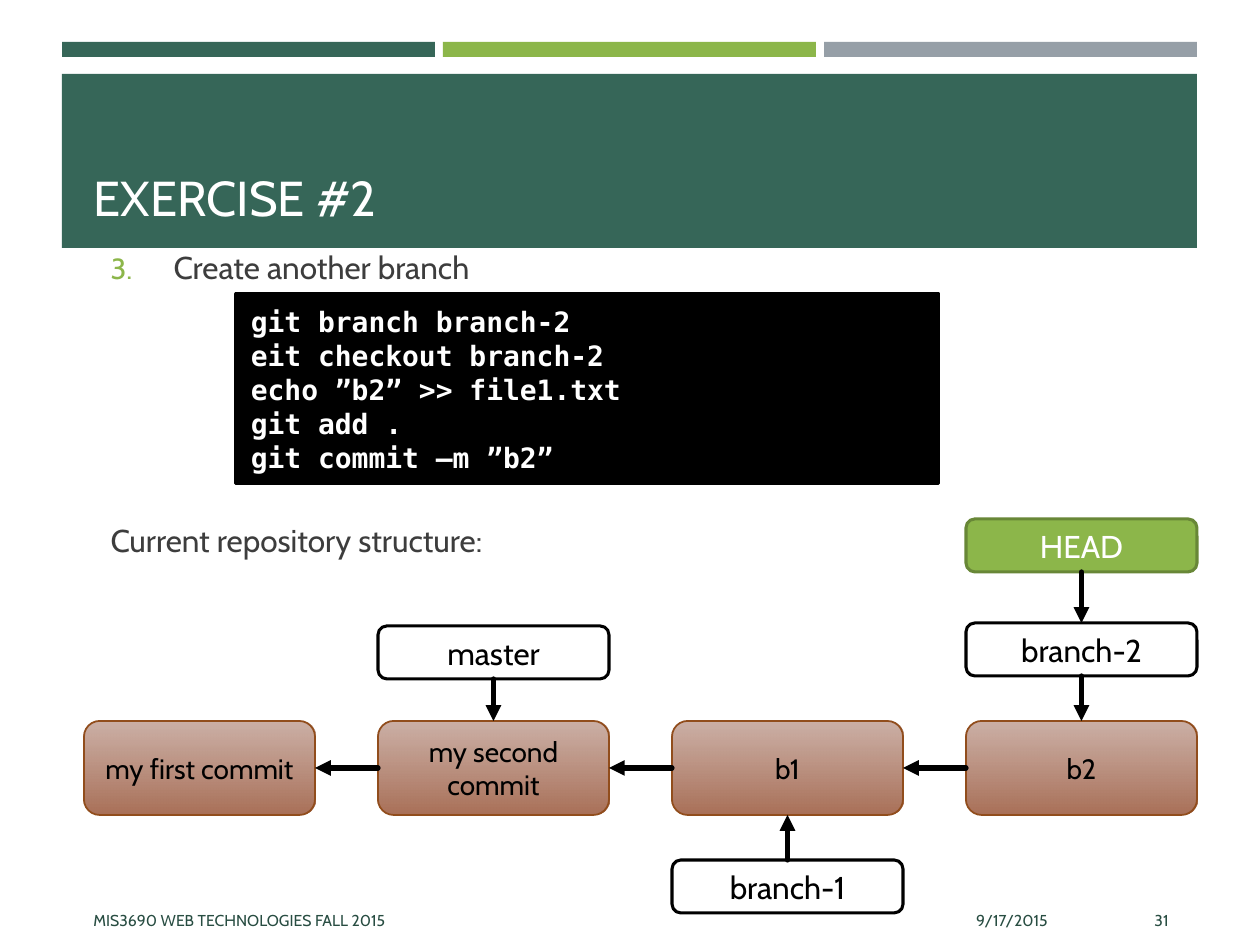
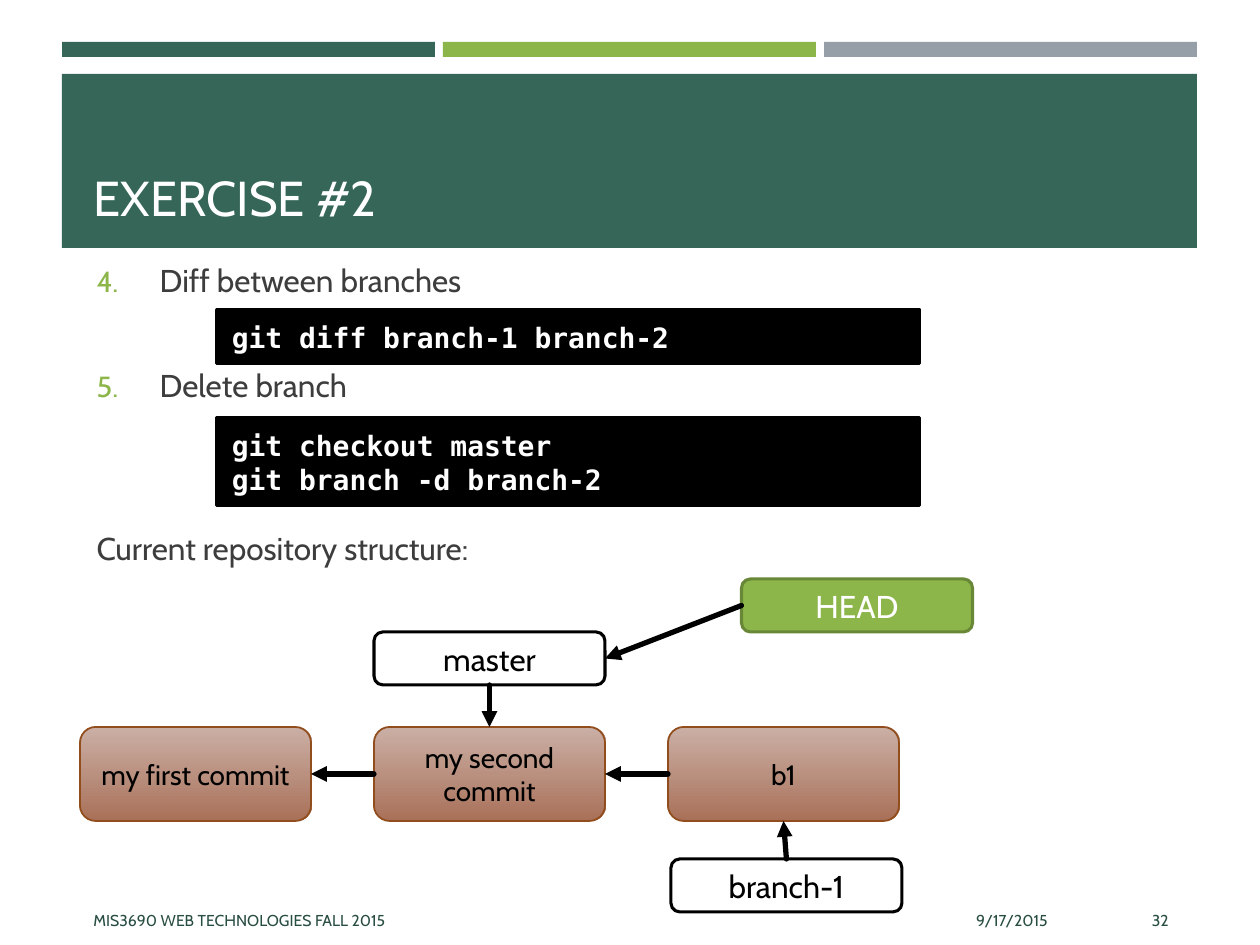
"""Build two git exercise slides with command boxes and commit diagrams."""
import lxml.etree
import pptx
import pptx.dml.color
import pptx.enum.dml
import pptx.enum.shapes
import pptx.enum.text
import pptx.oxml.ns
import pptx.util

SHAPE = pptx.enum.shapes.MSO_SHAPE
ALIGN = pptx.enum.text.PP_ALIGN
ANCHOR = pptx.enum.text.MSO_ANCHOR
qn = pptx.oxml.ns.qn

EMU_PER_PX = 914400 / 126
TEXT_FONT = "Cabin"
CODE_FONT = "DejaVu Sans Mono"
COLORS = {
    "green": "366658", "lime": "8CB64A", "gray": "969FA7", "footer": "284D42",
    "body": "3D3D3D", "white": "FFFFFF", "black": "000000", "lime_edge": "688737",
    "commit_top": "C6A79C", "commit_bottom": "A97058", "commit_edge": "914D1C",
}

BAND_COLORS = ["green", "lime", "gray"]
BAND_BOX = (62, 42, 373, 15)
BAND_STEP = 381
HEADER_BOX = (62, 74, 1135, 174)
TITLE_BOX = (81, 84, 1101, 149)
FOOTERS = [
    ("date", (766, 895, 294, 50), ALIGN.RIGHT),
    ("course", (81, 895, 672, 50), ALIGN.LEFT),
    ("number", (1075, 895, 106, 50), ALIGN.RIGHT),
]
CODE_WIDTH = 703
COLUMN_STEP = 294
NODE_WIDTH = 231
COMMIT_HEIGHT = 94
LABEL_HEIGHT = 53
LABEL_STYLES = {
    "branch": ("white", "black", "black"),
    "head": ("lime", "lime_edge", "white"),
}
TOP, LEFT, BOTTOM, RIGHT = range(4)

SLIDES = [
    {
        "title": "EXERCISE #2",
        "footer": {"date": "9/17/2015", "course": "MIS3690 WEB TECHNOLOGIES FALL 2015", "number": "31"},
        "body_box": (95, 242, 1081, 630),
        "first_number": 3,
        "body": [("Create another branch", True, 0), ("Current repository structure:", False, 134)],
        "code": [
            ((236, 294, CODE_WIDTH, 190), [
                "git branch branch-2",
                "eit checkout branch-2",
                "echo ”b2” >> file1.txt",
                "git add .",
                "git commit –m ”b2”",
            ]),
        ],
        "diagram_left": 84,
        "commit_top": 721,
        "commits": ["my first commit", "my second commit", "b1", "b2"],
        "labels": [
            ("master", "branch", 1, 626),
            ("branch-1", "branch", 2, 860),
            ("HEAD", "head", 3, 519),
            ("branch-2", "branch", 3, 623),
        ],
        "arrows": [
            ("master", BOTTOM, "my second commit", TOP),
            ("branch-1", TOP, "b1", BOTTOM),
            ("HEAD", BOTTOM, "branch-2", TOP),
            ("branch-2", BOTTOM, "b2", TOP),
        ],
    },
    {
        "title": "EXERCISE #2",
        "footer": {"date": "9/17/2015", "course": "MIS3690 WEB TECHNOLOGIES FALL 2015", "number": "32"},
        "body_box": (81, 255, 1081, 640),
        "first_number": 4,
        "body": [
            ("Diff between branches", True, 0),
            ("Delete branch", True, 38),
            ("Current repository structure:", False, 72),
        ],
        "code": [
            ((217, 310, CODE_WIDTH, 54), ["git diff branch-1 branch-2"]),
            ((217, 418, CODE_WIDTH, 88), ["git checkout master", "git branch -d branch-2"]),
        ],
        "diagram_left": 80,
        "commit_top": 727,
        "commits": ["my first commit", "my second commit", "b1"],
        "labels": [
            ("master", "branch", 1, 632),
            ("branch-1", "branch", 2.01, 859),
            ("HEAD", "head", 2.25, 579),
        ],
        "arrows": [
            ("master", BOTTOM, "my second commit", TOP),
            ("branch-1", TOP, "b1", BOTTOM),
            ("HEAD", LEFT, "master", RIGHT),
        ],
    },
]


def px(length):
    return pptx.util.Emu(round(length * EMU_PER_PX))


def rgb(name):
    return pptx.dml.color.RGBColor.from_string(COLORS[name])


def place(shape, box):
    shape.left, shape.top, shape.width, shape.height = map(px, box)


def format_text(text_frame, size, color, align=ALIGN.LEFT, font=TEXT_FONT, bold=False):
    for paragraph in text_frame.paragraphs:
        paragraph.alignment = align
        for run in paragraph.runs:
            run.font.size = pptx.util.Pt(size)
            run.font.name = font
            run.font.bold = bold
            run.font.color.rgb = rgb(color)


def add_box(slide, kind, box, fill, edge=None, edge_width=1.75):
    shape = slide.shapes.add_shape(kind, *map(px, box))
    shape.shadow.inherit = False
    if isinstance(fill, tuple):
        shape.fill.gradient()
        shape.fill.gradient_angle = 270
        for position, (stop, color) in enumerate(zip(shape.fill.gradient_stops, fill)):
            stop.position = position
            stop.color.rgb = rgb(color)
        first_color = next(shape.element.iter(qn("a:srgbClr")))
        lxml.etree.SubElement(first_color, qn("a:alpha"), val="90000")
    else:
        shape.fill.solid()
        shape.fill.fore_color.rgb = rgb(fill)
    if edge:
        shape.line.color.rgb = rgb(edge)
        shape.line.width = pptx.util.Pt(edge_width)
    else:
        shape.line.fill.background()
    return shape


def add_bands(slide, layout):
    left, top, width, height = BAND_BOX
    bands = [((left + i * BAND_STEP, top, width, height), color) for i, color in enumerate(BAND_COLORS)]
    bands.append((HEADER_BOX, "green"))
    for index, (box, color) in enumerate(bands):
        band = add_box(slide, SHAPE.RECTANGLE, box, color)
        band.element.nvSpPr.cNvPr.set("id", str(100 + index))
        layout.shapes.element.insert(2 + index, band.element)


def add_title(slide, text):
    title = slide.shapes.title
    place(title, TITLE_BOX)
    title.text_frame.text = text
    title.text_frame.auto_size = pptx.enum.text.MSO_AUTO_SIZE.NONE
    title.text_frame.vertical_anchor = ANCHOR.BOTTOM
    format_text(title.text_frame, 28, "white")


def set_bullet(paragraph, numbered, first_number):
    properties = paragraph._p.get_or_add_pPr()
    properties.set("marL", str(px(66 if numbered else 3)))
    properties.set("indent", str(px(-63 if numbered else 0)))
    if not numbered:
        lxml.etree.SubElement(properties, qn("a:buNone"))
        return
    color = lxml.etree.SubElement(properties, qn("a:buClr"))
    lxml.etree.SubElement(color, qn("a:srgbClr"), val=COLORS["lime"])
    lxml.etree.SubElement(properties, qn("a:buSzPct"), val="92000")
    lxml.etree.SubElement(properties, qn("a:buFont"), typeface=TEXT_FONT)
    lxml.etree.SubElement(properties, qn("a:buAutoNum"), type="arabicPeriod", startAt=str(first_number))


def add_body(slide, content):
    body = slide.placeholders[1]
    place(body, content["body_box"])
    text_frame = body.text_frame
    text_frame.text = "\n".join(text for text, _, _ in content["body"])
    text_frame.auto_size = pptx.enum.text.MSO_AUTO_SIZE.NONE
    for paragraph, (_, numbered, gap) in zip(text_frame.paragraphs, content["body"]):
        set_bullet(paragraph, numbered, content["first_number"])
        paragraph.space_before = pptx.util.Pt(gap)
        paragraph.space_after = pptx.util.Pt(0)
    format_text(text_frame, 18, "body")


def add_footers(slide, texts):
    for name, box, align in FOOTERS:
        text_frame = slide.shapes.add_textbox(*map(px, box)).text_frame
        text_frame.text = texts[name]
        text_frame.word_wrap = True
        text_frame.vertical_anchor = ANCHOR.MIDDLE
        format_text(text_frame, 9, "footer", align)


def add_code(slide, box, lines):
    text_frame = add_box(slide, SHAPE.RECTANGLE, box, "black", "black").text_frame
    text_frame.text = "\n".join(lines)
    text_frame.vertical_anchor = ANCHOR.TOP
    text_frame.margin_left = text_frame.margin_right = px(15)
    text_frame.margin_top = text_frame.margin_bottom = px(10)
    for paragraph in text_frame.paragraphs:
        paragraph.line_spacing = pptx.util.Pt(19.4)
    format_text(text_frame, 16, "white", font=CODE_FONT, bold=True)


def add_arrow(slide, source, source_site, target, target_site):
    connector = slide.shapes.add_connector(pptx.enum.shapes.MSO_CONNECTOR.STRAIGHT, 0, 0, 0, 0)
    connector.begin_connect(source, source_site)
    connector.end_connect(target, target_site)
    connector.line.color.rgb = rgb("black")
    connector.line.width = pptx.util.Pt(3)
    line = connector.line._get_or_add_ln()
    line.set("cap", "rnd")
    lxml.etree.SubElement(line, qn("a:tailEnd"), type="triangle")
    lxml.etree.SubElement(connector.element.spPr, qn("a:effectLst"))


def add_diagram(slide, content):
    nodes = {}

    def add_node(name, column, top, height, fill, edge, edge_width, size, color):
        box = (content["diagram_left"] + column * COLUMN_STEP, top, NODE_WIDTH, height)
        node = add_box(slide, SHAPE.ROUNDED_RECTANGLE, box, fill, edge, edge_width)
        node.text_frame.text = name
        format_text(node.text_frame, size, color, ALIGN.CENTER)
        nodes[name] = node

    commits = content["commits"]
    for column, name in enumerate(commits):
        add_node(name, column, content["commit_top"], COMMIT_HEIGHT,
                 ("commit_top", "commit_bottom"), "commit_edge", 1, 16, "black")
    for name, kind, column, top in content["labels"]:
        fill, edge, color = LABEL_STYLES[kind]
        add_node(name, column, top, LABEL_HEIGHT, fill, edge, 1.75, 18, color)
    history = [(child, LEFT, parent, RIGHT) for parent, child in zip(commits, commits[1:])]
    for source, source_site, target, target_site in history + content["arrows"]:
        add_arrow(slide, nodes[source], source_site, nodes[target], target_site)


def main():
    presentation = pptx.Presentation()
    presentation.slide_width, presentation.slide_height = px(1260), px(945)
    layout = presentation.slide_layouts[1]
    for index, content in enumerate(SLIDES):
        slide = presentation.slides.add_slide(layout)
        if index == 0:
            add_bands(slide, layout)
        add_title(slide, content["title"])
        add_footers(slide, content["footer"])
        add_body(slide, content)
        for box, lines in content["code"]:
            add_code(slide, box, lines)
        add_diagram(slide, content)
    presentation.save("out.pptx")


if __name__ == "__main__":
    main()
